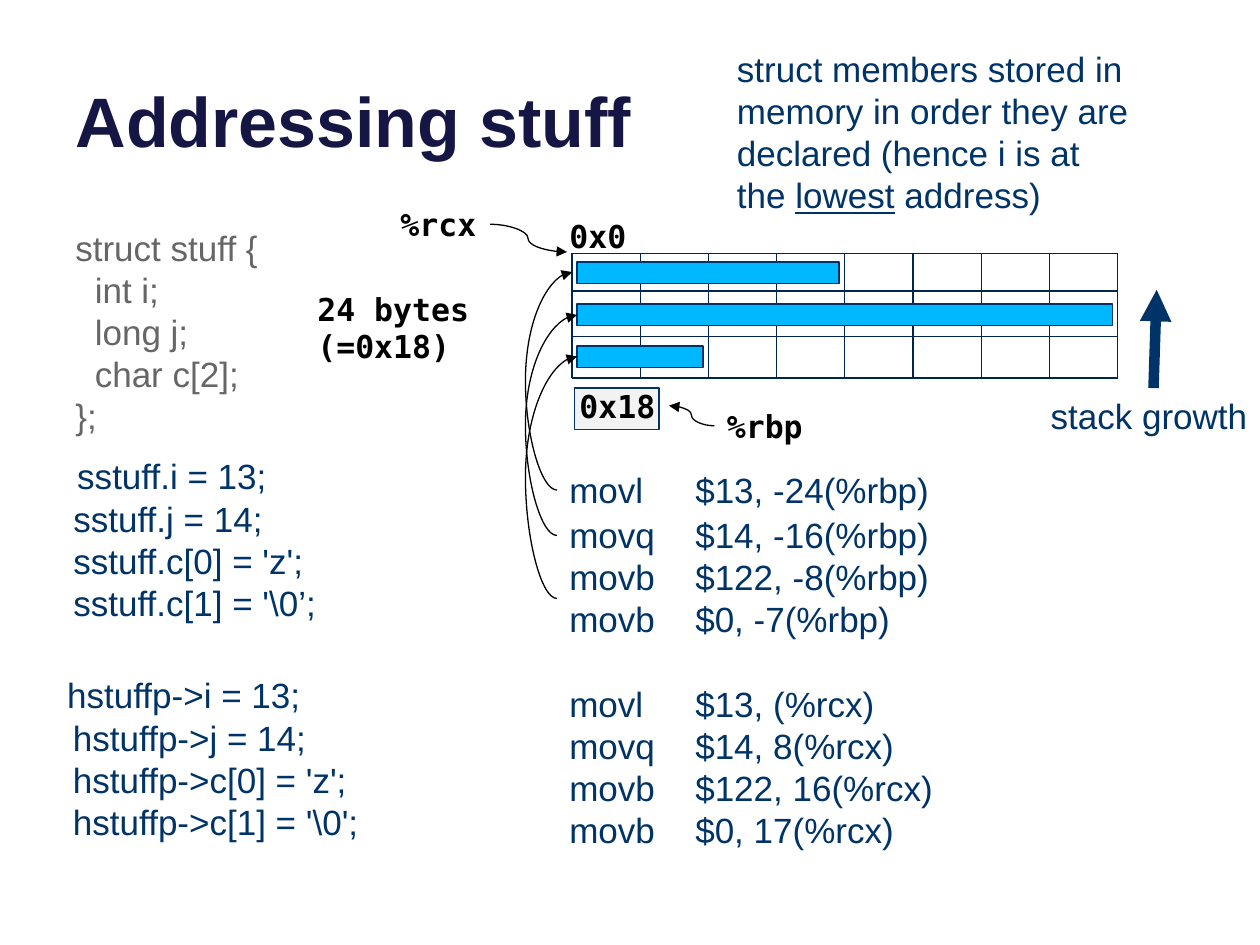
from dataclasses import dataclass
from typing import Optional

from pptx import Presentation
from pptx import util as u
from pptx.dml.color import RGBColor
from pptx.enum import shapes, text
from pptx.oxml import parse_xml
from pptx.oxml.ns import nsdecls, qn

INK = {"title": "161645", "navy": "003367", "grid": "00264D", "gray": "666666",
       "black": "000000", "bar": "00B8FF", "pale": "F2F2F2"}
SANS, MONO = "Arial", "DejaVu Sans Mono"


@dataclass
class Note:
    """A text box; lead is the size of a line's opening spaces."""
    x: float
    y: float
    w: float
    h: float
    lines: list
    ink: str = "navy"
    face: str = SANS
    size: int = 20
    lead: Optional[int] = None


@dataclass
class Curve:
    """An S or C shaped arrow that bends at x = bend."""
    x1: float
    y1: float
    x2: float
    y2: float
    bend: float


def tint(ink: str) -> RGBColor:
    return RGBColor.from_string(INK[ink])


def style(font, ink: str, form: dict) -> None:
    font.color.rgb = tint(ink)
    for key, val in form.items():
        setattr(font, key, val)


def add_note(slide, note: Note):
    box = slide.shapes.add_textbox(*map(u.Inches, (note.x, note.y, note.w, note.h)))
    frame = box.text_frame
    mono = note.face == MONO
    frame.word_wrap = not mono
    frame.auto_size = text.MSO_AUTO_SIZE.SHAPE_TO_FIT_TEXT
    form = {"name": note.face, "size": u.Pt(note.size), "bold": mono}
    for i, line in enumerate(note.lines):
        par = frame.paragraphs[0] if i == 0 else frame.add_paragraph()
        parts = [line] if isinstance(line, str) else line
        for j, part in enumerate(parts):
            run = par.add_run()
            run.text = part
            style(run.font, note.ink, form)
            if j == 0 and note.lead and len(parts) > 1:
                run.font.size = u.Pt(note.lead)
    return box


def add_box(slide, x: float, y: float, w: float, h: float,
            ink: str, fill: Optional[str] = None) -> None:
    box = slide.shapes.add_shape(shapes.MSO_SHAPE.RECTANGLE,
                                 *map(u.Inches, (x, y, w, h)))
    box.shadow.inherit = False
    if fill:
        box.fill.solid()
        box.fill.fore_color.rgb = tint(fill)
    else:
        box.fill.background()
    box.line.color.rgb = tint(ink)
    box.line.width = u.Pt(0.75)


def add_line(slide, x1: float, y1: float, x2: float, y2: float, ink: str,
             width: float = 0.75, head: bool = False, kind: str = "STRAIGHT"):
    line = slide.shapes.add_connector(shapes.MSO_CONNECTOR[kind],
                                      *map(u.Inches, (x1, y1, x2, y2)))
    line.line.color.rgb = tint(ink)
    line.line.width = u.Pt(width)
    props = line._element.spPr
    if head:
        props.find(qn("a:ln")).append(
            parse_xml(f'<a:tailEnd {nsdecls("a")} type="triangle"/>'))
    props.append(parse_xml(f'<a:effectLst {nsdecls("a")}/>'))
    return line


def add_curve(slide, c: Curve) -> None:
    line = add_line(slide, c.x1, c.y1, c.x2, c.y2, "black", head=True, kind="CURVE")
    bend = round((c.bend - c.x1) / (c.x2 - c.x1) * 100000)
    geom = line._element.spPr.find(qn("a:prstGeom"))
    for old in list(geom):
        geom.remove(old)
    geom.append(parse_xml(f'<a:avLst {nsdecls("a")}>'
                          f'<a:gd name="adj1" fmla="val {bend}"/></a:avLst>'))


def add_title(slide, words: str) -> None:
    title = slide.shapes.title
    for key, val in {"left": 0.5, "top": -0.37, "width": 9, "height": 1.7}.items():
        setattr(title, key, u.Inches(val))
    frame = title.text_frame
    frame.text = words
    frame.auto_size = text.MSO_AUTO_SIZE.NONE
    frame.vertical_anchor = text.MSO_ANCHOR.BOTTOM
    par = frame.paragraphs[0]
    par.alignment = text.PP_ALIGN.LEFT
    style(par.runs[0].font, "title", {"name": SANS, "size": u.Pt(40), "bold": True})


def add_grid(slide) -> None:
    left, top, mid, low, cols, step = 4.54, 2.01, 2.67, 3, 8, 4.33 / 8
    add_box(slide, left, top, cols * step, 0.3, "grid")
    for i in range(cols + 1):
        x = left + i * step
        add_line(slide, x, low, x, top, "grid")
        if i < cols:
            for y in (top, mid, low) if i else (mid, low):
                add_line(slide, x, y, x + step, y, "grid")


NOTES = [
    # Source code
    Note(0.5, 1.75, 5, 1.85, ["struct stuff {", "  int i;", "  long j;",
                              "  char c[2];", "};"], "gray"),
    Note(0.33, 3.5, 5, 1.51, [("  ", "sstuff.i = 13;"), "  sstuff.j = 14;",
                              "  sstuff.c[0] = 'z';", "  sstuff.c[1] = '\\0’;"], lead=24),
    Note(0.25, 5.24, 5, 1.51, [("  ", "hstuffp->i = 13;"), "   hstuffp->j = 14;",
                               "   hstuffp->c[0] = 'z';", "   hstuffp->c[1] = '\\0';"],
         lead=24),
    # Assembly
    Note(4.42, 3.67, 5, 0.44, ["movl\t$13, -24(%rbp)"]),
    Note(4.42, 4.03, 5, 0.44, ["movq\t$14, -16(%rbp)"]),
    Note(4.42, 4.36, 5, 0.77, ["movb\t$122, -8(%rbp)", "movb\t$0, -7(%rbp)"]),
    Note(4.42, 5.37, 5, 1.45, ["movl\t$13, (%rcx)", "movq\t$14, 8(%rcx)",
                               "movb\t$122, 16(%rcx)", "movb\t$0, 17(%rcx)"]),
    # Addresses and registers
    Note(4.42, 1.67, 0.65, 0.4, ["0x0"], "black", MONO, 18),
    Note(4.5, 3.02, 0.81, 0.4, ["0x18"], "black", MONO, 18),
    Note(5.67, 3.18, 0.81, 0.4, ["%rbp"], "black", MONO, 18),
    Note(3.08, 1.58, 0.81, 0.4, ["%rcx"], "black", MONO, 18),
    Note(2.42, 2.25, 1.41, 0.7, ["24 bytes", "(=0x18)"], "black", MONO, 18),
]
CURVES = [
    Curve(4.42, 3.89, 4.54, 2.16, 4.17), Curve(4.42, 4.25, 4.58, 2.5, 4.17),
    Curve(4.42, 4.75, 4.58, 2.83, 4.17), Curve(5.67, 3.38, 5.31, 3.22, 5.49),
    Curve(3.89, 1.78, 4.5, 2, 4.19),
]


def main() -> None:
    deck = Presentation()
    deck.slide_width, deck.slide_height = u.Inches(10), u.Inches(7.5)
    slide = deck.slides.add_slide(deck.slide_layouts[5])
    add_title(slide, "Addressing stuff")

    # Memory rows and the members in them
    add_grid(slide)
    for i, wide in enumerate((2.08, 4.25, 1)):
        add_box(slide, 4.58, 2.08 + i / 3, wide, 0.17, "navy", "bar")
    add_box(slide, 4.56, 3.08, 0.67, 0.33, "navy", "pale")

    for note in NOTES:
        add_note(slide, note)
    for curve in CURVES:
        add_curve(slide, curve)

    # Remark on member order
    remark = add_note(slide, Note(5.75, 0.33, 3.32, 1.45, [
        ("struct members stored in memory in order they are declared (hence i is at the ",
         "lowest", " address)")]))
    remark.text_frame.paragraphs[0].runs[1].font.underline = True

    # Stack direction
    label = add_note(slide, Note(8.24, 3.08, 1.83, 0.44, ["stack growth"]))
    arrow = add_line(slide, 9.15, 3.08, 9.18, 2.3, "navy", 6, head=True)
    arrow.begin_connect(label, 0)

    deck.save("out.pptx")


if __name__ == "__main__":
    main()
